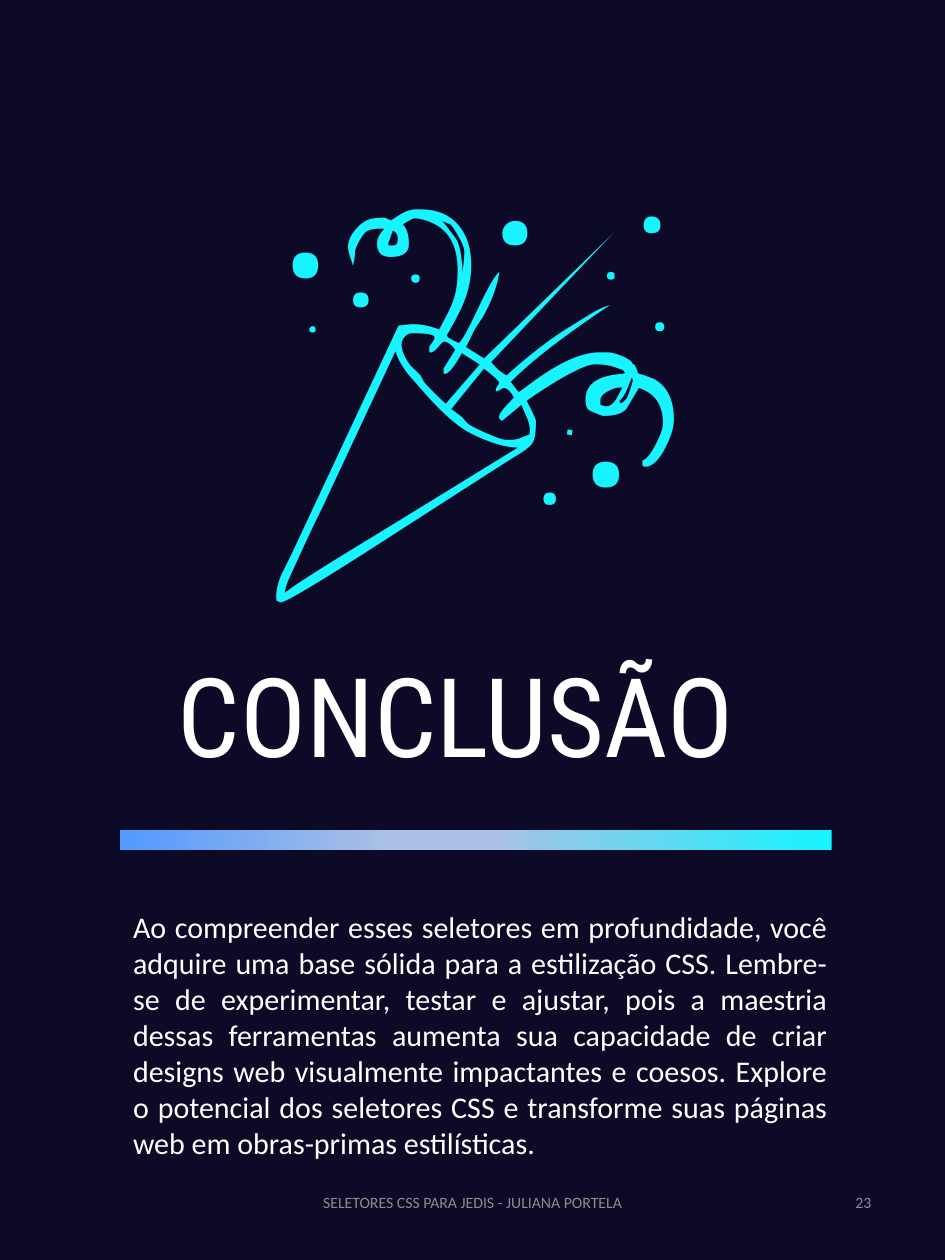
from lxml import etree
from pptx import Presentation
from pptx.dml.color import RGBColor
from pptx.enum.shapes import MSO_SHAPE
from pptx.enum.text import MSO_ANCHOR, MSO_AUTO_SIZE, PP_ALIGN
from pptx.oxml.ns import qn
from pptx.util import Inches, Pt

RECTANGLE = MSO_SHAPE.RECTANGLE
TOP, MIDDLE = MSO_ANCHOR.TOP, MSO_ANCHOR.MIDDLE
GROW, FIXED = MSO_AUTO_SIZE.SHAPE_TO_FIT_TEXT, MSO_AUTO_SIZE.NONE
CENTER, RIGHT, JUSTIFY = PP_ALIGN.CENTER, PP_ALIGN.RIGHT, PP_ALIGN.JUSTIFY
DISPLAY_FONT, BODY_FONT = "Roboto Condensed", "Calibri"
NAVY, CYAN, LILAC, BLUE = "0D0A27", "17F4FF", "ABC0E4", "5399FF"
WHITE, GRAY = "FFFFFF", "8C8C8C"
BAR_STOPS = ((0, CYAN), (48, LILAC), (62, LILAC), (100, BLUE))
CONCLUSION = (
    "Ao compreender esses seletores em profundidade, você adquire uma base sólida "
    "para a estilização CSS. Lembre-se de experimentar, testar e ajustar, pois a "
    "maestria dessas ferramentas aumenta sua capacidade de criar designs web "
    "visualmente impactantes e coesos. Explore o potencial dos seletores CSS e "
    "transforme suas páginas web em obras-primas estilísticas."
)


def color(value):
    """Turn a hex string into a colour."""
    return RGBColor.from_string(value)


def place(shape, box):
    """Move a shape to a box given in inches."""
    shape.left, shape.top, shape.width, shape.height = map(Inches, box)


def write(shape, text, font_name, size, align, text_color=WHITE, anchor=TOP, fit=GROW):
    """Fill a shape with one formatted paragraph and return its run."""
    frame = shape.text_frame
    frame.text = text
    frame.word_wrap = True
    frame.auto_size = fit
    frame.vertical_anchor = anchor
    paragraph = frame.paragraphs[0]
    paragraph.alignment = align
    run = paragraph.runs[0]
    run.font.name = font_name
    run.font.size = Pt(size)
    run.font.color.rgb = color(text_color)
    return run


def add_text(slide, box, *args, **kwargs):
    """Add a text box holding one formatted paragraph."""
    return write(slide.shapes.add_textbox(*map(Inches, box)), *args, **kwargs)


def add_rectangle(slide, box):
    """Add a rectangle without line or shadow."""
    shape = slide.shapes.add_shape(RECTANGLE, *map(Inches, box))
    shape.shadow.inherit = False
    shape.line.fill.background()
    return shape


def add_backdrop(slide, box):
    """Lay the dark page colour behind everything else."""
    backdrop = add_rectangle(slide, box)
    backdrop.fill.solid()
    backdrop.fill.fore_color.rgb = color(NAVY)
    slide.shapes._spTree.insert(2, backdrop._element)


def set_title(slide, box):
    """Place and format the title."""
    title = slide.shapes.title
    place(title, box)
    write(title, "CONCLUSÃO", DISPLAY_FONT, 88, CENTER)


def add_emblem(slide, box):
    """Add the party popper as outlined text."""
    run = add_text(slide, box, "🎉", DISPLAY_FONT, 344, CENTER)
    run.font.fill.background()
    properties = run.font._element
    line = etree.Element(qn("a:ln"), w=str(Pt(1.5)))
    fill = etree.SubElement(line, qn("a:solidFill"))
    etree.SubElement(fill, qn("a:srgbClr"), val=CYAN)
    properties.insert(0, line)


def add_gradient_bar(slide, box):
    """Add the divider that runs from blue to cyan."""
    bar = add_rectangle(slide, box)
    bar.fill.gradient()
    bar.fill.gradient_angle = 180
    stops = bar._element.spPr.find(qn("a:gradFill")).find(qn("a:gsLst"))
    for stop in list(stops):
        stops.remove(stop)
    for position, value in BAR_STOPS:
        stop = etree.SubElement(stops, qn("a:gs"), pos=str(position * 1000))
        etree.SubElement(stop, qn("a:srgbClr"), val=value)


def add_footer(slide, top, height):
    """Add the book title and the page number."""
    style = {"text_color": GRAY, "anchor": MIDDLE, "fit": FIXED}
    add_text(slide, (3.48, top, 3.54, height),
             "SELETORES CSS PARA JEDIS - JULIANA PORTELA", BODY_FONT, 12.6, CENTER, **style)
    add_text(slide, (7.42, top, 2.36, height), "23", BODY_FONT, 12.6, RIGHT, **style)


def main():
    """Build the closing page."""
    presentation = Presentation()
    presentation.slide_width = Inches(10.5)
    presentation.slide_height = Inches(14)
    slide = presentation.slides.add_slide(presentation.slide_layouts[5])
    add_backdrop(slide, (0, 0, 10.5, 14))
    set_title(slide, (1.29, 7.14, 7.55, 1.58))
    add_emblem(slide, (2.36, 1.03, 5.86, 5.89))
    add_gradient_bar(slide, (1.33, 9.22, 7.91, 0.22))
    add_text(slide, (1.38, 10.05, 7.91, 2.93), CONCLUSION, BODY_FONT, 24, JUSTIFY)
    add_footer(slide, 12.98, 0.75)
    presentation.save("out.pptx")


if __name__ == "__main__":
    main()
